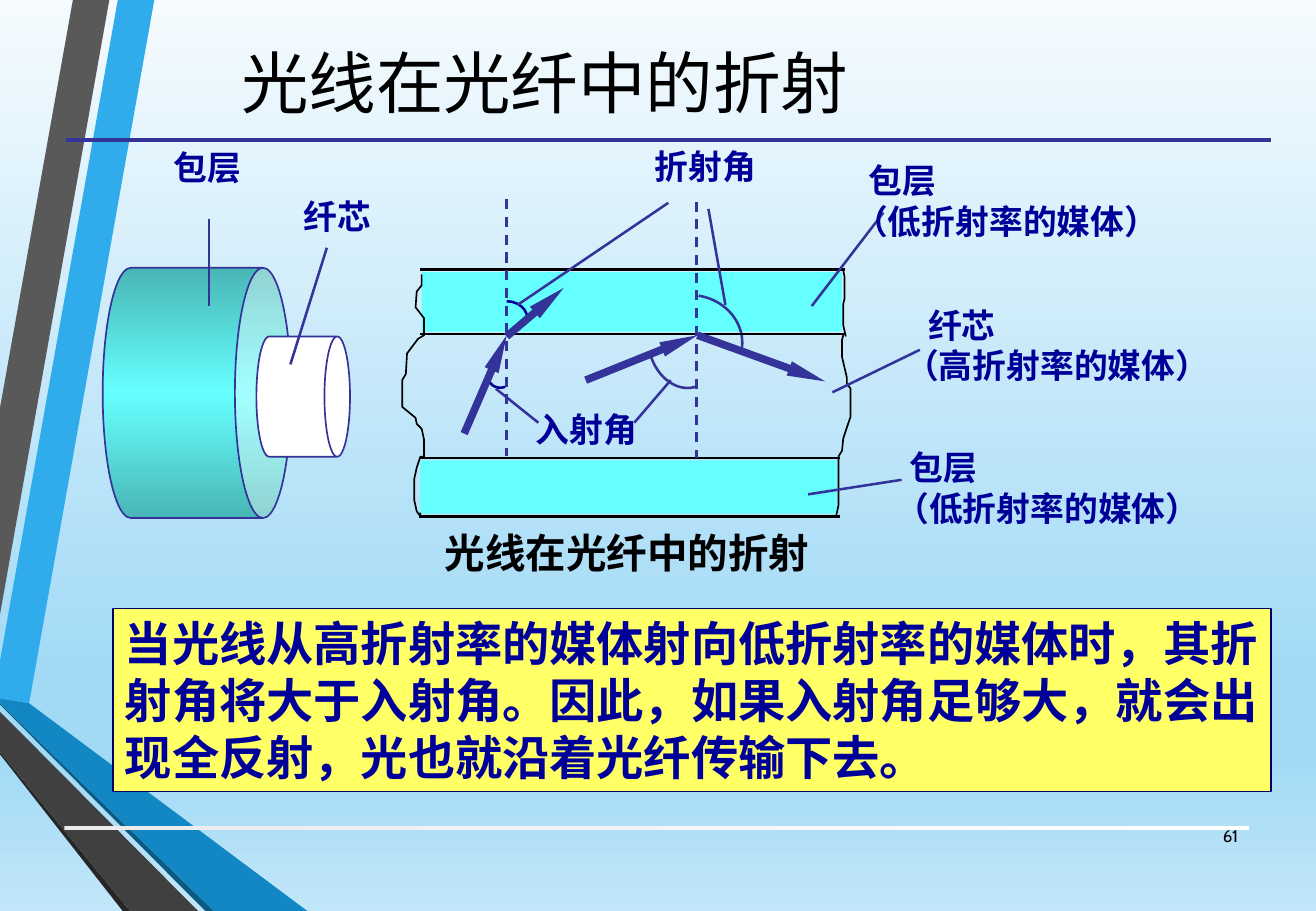
"""Build the slide on how light bends inside an optical fibre."""
from lxml.etree import SubElement
from pptx import Presentation
from pptx.dml.color import RGBColor
from pptx.enum.dml import MSO_LINE
from pptx.enum.shapes import MSO_CONNECTOR, MSO_SHAPE
from pptx.enum.text import MSO_ANCHOR, MSO_AUTO_SIZE, PP_ALIGN
from pptx.oxml.ns import qn
from pptx.util import Pt

PX = 9144
HUE = {
    "sky": "30ACEC", "grey": "595959", "coal": "262626", "deep": "0C5A82",
    "blue": "1287C3", "slate": "404040", "ink": "333399", "navy": "000099",
    "edge": "000066", "black": "000000", "white": "FFFFFF", "pale": "EBEBEB",
    "cyan": "66FFFF", "teal": "49B6B6", "yellow": "FFFF66",
    "mist": "F5FBFE", "haze": "A2DAF6", "dawn": "C1E6F9",
}


def paint(shape, fill=None, line=None, width=1.0):
    """Set the fill and outline of a shape; a list of stops gives a gradient."""
    shape.shadow.inherit = False
    if isinstance(fill, list):
        shape.fill.gradient()
        shape.fill.gradient_angle = 0
        ramps.append((shape.element, fill))
    elif fill:
        shape.fill.solid()
        shape.fill.fore_color.rgb = RGBColor.from_string(HUE[fill])
    else:
        shape.fill.background()
    if line:
        shape.line.color.rgb = RGBColor.from_string(HUE[line])
        shape.line.width = Pt(width)
    else:
        shape.line.fill.background()


def write(shape, lines, size, color="navy", bold=True, indent=0,
          align=PP_ALIGN.LEFT, anchor=MSO_ANCHOR.TOP):
    """Fill a shape with formatted lines, the first one indented."""
    frame = shape.text_frame
    form = {"word_wrap": True, "auto_size": MSO_AUTO_SIZE.NONE,
            "vertical_anchor": anchor, "margin_left": 10 * PX,
            "margin_right": 5 * PX, "margin_top": 5 * PX, "margin_bottom": 5 * PX}
    for key, value in form.items():
        setattr(frame, key, value)
    frame.text = "\n".join(lines)
    frame.paragraphs[0]._p.get_or_add_pPr().set("marL", str(indent * PX))
    for para in frame.paragraphs:
        para.alignment = align
        for key, value in {"name": "Cabin", "size": Pt(size), "bold": bold}.items():
            setattr(para.font, key, value)
        para.font.color.rgb = RGBColor.from_string(HUE[color])


deck = Presentation()
deck.slide_width, deck.slide_height = 1083 * PX, 750 * PX
slide = deck.slides.add_slide(deck.slide_layouts[5])
shapes = slide.shapes

back = slide.background.fill
back.gradient()
back.gradient_angle = 270
ramps = [(slide.background._cSld.bg,
          [(0, "mist"), (74, "haze"), (83, "haze"), (100, "dawn")])]

title = shapes.title
for key, value in zip(("left", "top", "width", "height"), (43, 5, 818, 124)):
    setattr(title, key, value * PX)
write(title, ["光线在光纤中的折射 "], 40, "black", False,
      align=PP_ALIGN.CENTER, anchor=MSO_ANCHOR.MIDDLE)

bands = [
    ("sky", [(0, 544), (0, 575), (24, 579), (127, 0), (97, 0)]),
    ("grey", [(90, 0), (60, 0), (0, 336), (0, 506)]),
    ("coal", [(0, 619), (0, 621), (101, 750), (107, 750)]),
    ("deep", [(0, 579), (0, 580), (169, 750), (176, 750)]),
    ("blue", [(0, 579), (176, 750), (253, 750), (24, 579), (0, 575)]),
    ("slate", [(0, 619), (107, 750), (163, 750), (0, 586)]),
]
for fill, points in bands:
    path = shapes.build_freeform(*points[0], scale=PX)
    path.add_line_segments(points[1:], close=True)
    paint(path.convert_to_shape(), fill)

fade = [(0, "pale"), (100, "white")]
for fill, box in [(fade, (53, 680, 975, 3)), ("cyan", (347, 224, 346, 49)),
                  ("cyan", (346, 379, 343, 44))]:
    paint(shapes.add_shape(MSO_SHAPE.RECTANGLE, *(n * PX for n in box)), fill)

metal = [(0, "teal"), (50, "cyan"), (100, "teal")]
for box, lid, fill in [((59, 246, 206, 155), 0.298, metal),
                       ((200, 288, 99, 77), 0.273, "white")]:
    can = shapes.add_shape(MSO_SHAPE.CAN, *(n * PX for n in box))
    can.adjustments[0] = lid
    can.rotation = 90
    paint(can, fill, "ink")

for x, y, wide, high, turn, color in [
        (413, 310, 11, 9, 162, "navy"), (417, 262, 17, 14, 0, "navy"),
        (562, 284, 28, 36, 164, "ink"), (569, 281, 42, 38, 9, "ink")]:
    box = (x - wide, y - high, 2 * wide, 2 * high)
    arc = shapes.add_shape(MSO_SHAPE.ARC, *(n * PX for n in box))
    arc.rotation = turn
    paint(arc, None, color, 1.5)

edges = [
    [(347, 226), (347, 235), (343, 240), (342, 253), (349, 262), (349, 276),
     (344, 279), (335, 291), (334, 308), (331, 313), (331, 335), (342, 344),
     (343, 349), (347, 353), (349, 362), (349, 376), (346, 376), (343, 385),
     (341, 394), (341, 412), (343, 421), (346, 425), (346, 422)],
    [(694, 223), (695, 228), (695, 246), (694, 250), (694, 268), (696, 277)],
    [(694, 276), (693, 280), (693, 294), (697, 311), (697, 316), (700, 320),
     (700, 343), (697, 352), (694, 361), (693, 371), (690, 376)],
    [(690, 376), (690, 416), (689, 421), (688, 425)],
]
for points in edges:
    path = shapes.build_freeform(*points[0], scale=PX)
    path.add_line_segments(points[1:], close=False)
    paint(path.convert_to_shape(), None, "black")

strokes = [
    ("ink", 2.25, "", [(54, 115, 1046, 115)]),
    ("black", 1.5, "", [(346, 222, 695, 222), (346, 275, 695, 275),
                        (345, 377, 691, 377), (345, 425, 691, 425)]),
    ("ink", 1.5, "dash", [(417, 164, 417, 375), (573, 166, 573, 377)]),
    ("ink", 4.5, "arrow", [(417, 277, 464, 237), (382, 357, 417, 276),
                           (482, 313, 574, 276), (574, 276, 679, 314)]),
    ("ink", 1.5, "", [(583, 172, 597, 251), (426, 251, 550, 167),
                      (408, 320, 443, 348), (522, 348, 552, 313),
                      (685, 323, 757, 288), (727, 175, 668, 252),
                      (742, 395, 665, 407), (172, 180, 172, 252),
                      (269, 204, 239, 300)]),
]
for color, width, kind, ends in strokes:
    for end in ends:
        line = shapes.add_connector(MSO_CONNECTOR.STRAIGHT, *(n * PX for n in end))
        line.line.color.rgb = RGBColor.from_string(HUE[color])
        line.line.width = Pt(width)
        if kind == "dash":
            line.line.dash_style = MSO_LINE.DASH
        if kind == "arrow":
            SubElement(line.line._get_or_add_ln(), qn("a:tailEnd"),
                       type="triangle", w="sm", len="lg")
        SubElement(line.element.spPr, qn("a:effectLst"))

low = ["包层", "（低折射率的媒体）"]
for lines, box, indent in [
        (["折射角"], (529, 115, 105, 43), 0), (["入射角"], (431, 332, 130, 43), 0),
        (low, (693, 127, 274, 77), 12), (low, (727, 363, 274, 77), 12),
        (["纤芯", "（高折射率的媒体）"], (735, 246, 302, 77), 19),
        (["包层"], (133, 116, 77, 44), 0), (["纤芯"], (240, 156, 83, 44), 0)]:
    label = shapes.add_textbox(*(n * PX for n in box))
    write(label, lines, 20, indent=indent)

label = shapes.add_textbox(250 * PX, 430 * PX, 527 * PX, 50 * PX)
write(label, ["光线在光纤中的折射"], 24, "black", align=PP_ALIGN.CENTER)

note = shapes.add_shape(MSO_SHAPE.RECTANGLE, 93 * PX, 501 * PX, 953 * PX, 151 * PX)
paint(note, "yellow", "edge", 0.75)
write(note, ["当光线从高折射率的媒体射向低折射率的媒体时，其折射角将大于入射角。"
             "因此，如果入射角足够大，就会出现全反射，光也就沿着光纤传输下去。"], 28)

label = shapes.add_textbox(978 * PX, 668 * PX, 46 * PX, 40 * PX)
write(label, ["61"], 10, "black", False, align=PP_ALIGN.RIGHT, anchor=MSO_ANCHOR.MIDDLE)

for node, stops in ramps:
    ramp = next(node.iter(qn("a:gsLst")))
    for old in list(ramp):
        ramp.remove(old)
    for spot, color in stops:
        stop = SubElement(ramp, qn("a:gs"), pos=str(spot * 1000))
        SubElement(stop, qn("a:srgbClr"), val=HUE[color])

deck.save("out.pptx")
